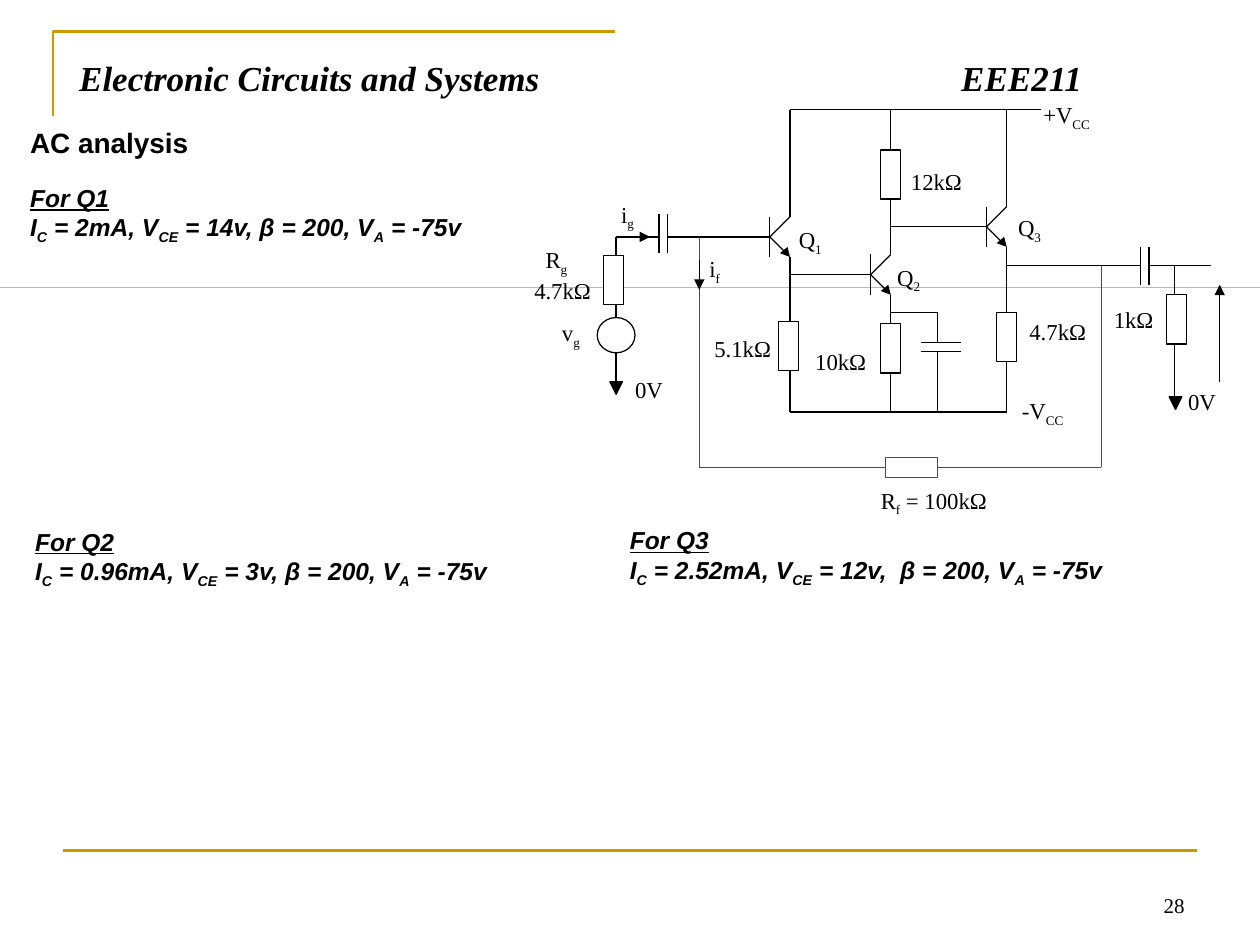
from lxml.etree import SubElement
from pptx import Presentation
from pptx.dml.color import RGBColor
from pptx.enum.shapes import MSO_CONNECTOR as Conn, MSO_SHAPE as Shape
from pptx.enum.text import MSO_ANCHOR as Anchor, PP_ALIGN as Align
from pptx.oxml.ns import qn
from pptx.util import Inches, Pt

COLORS = {"ink": "000000", "gold": "CC9900", "feedback": "FF0000",
          "paper": "FFFFFF", "rule": "0033CC"}
SERIF, SANS = "Times New Roman", "Arial"
W, H = 10, 7.5

TITLE = "Electronic Circuits and Systems\tEEE211"
BIASES = [
    ("For Q1", "I~C~ = 2mA, V~CE~ = 14v, β = 200, V~A~ = -75v", 0.14, 1.4),
    ("For Q2", "I~C~ = 0.96mA, V~CE~ = 3v, β = 200, V~A~ = -75v", 0.18, 4.13),
    ("For Q3", "I~C~ = 2.52mA, V~CE~ = 12v,  β = 200, V~A~ = -75v", 4.9, 4.12),
]
LABELS = [
    ("v~g~", 4.46, 2.53, 0.24), ("+V~CC~", 8.28, 0.8, 0.45),
    ("5.1kΩ", 5.67, 2.66, 0.47), ("12kΩ", 7.23, 1.33, 0.45),
    ("10kΩ", 6.47, 2.76, 0.45), ("4.7kΩ", 8.17, 2.52, 0.55),
    ("4.7kΩ", 4.24, 2.2, 0.48), ("0V", 5.04, 2.98, 0.28),
    ("1kΩ", 8.84, 2.43, 0.37), ("0V", 9.43, 3.08, 0.31),
    ("R~f~ = 100kΩ", 6.99, 3.86, 1.02), ("Q~1~", 6.34, 1.79, 0.32),
    ("Q~3~", 8.08, 1.7, 0.32), ("Q~2~", 7.12, 2.09, 0.32),
    ("R~g~", 4.33, 1.95, 0.24), ("i~f~", 5.63, 2.02, 0.24),
    ("i~g~", 4.93, 1.59, 0.24), ("-V~CC~", 8.11, 3.15, 0.45),
]

SRC, TAP, Q1, Q2, BYPASS, Q3, OUT, LOAD, VOUT = (
    4.89, 5.55, 6.27, 7.07, 7.44, 7.99, 8.74, 9.32, 9.68)
TOP, BASE3, BASE1, OUTPUT, BASE2, SPLIT, BOTTOM, LOOP = (
    0.87, 1.8, 1.88, 2.11, 2.18, 2.48, 3.27, 3.71)
CAP_IN, CAP_OUT, CAP_BYPASS = (5.23, 5.3), (9.05, 9.12), (2.72, 2.79)
GROUND = 0.1
STEP = 0.16

WIRES = [
    (SRC, BASE1, SRC, 2.52), (SRC, 2.8, SRC, 3.06),
    (SRC, BASE1, CAP_IN[0], BASE1), (CAP_IN[1], BASE1, Q1 - STEP, BASE1),
    (Q1, TOP, 8.26, TOP), (Q1, TOP, Q1, BASE1 - STEP),
    (Q2, TOP, Q2, BASE2 - STEP), (Q3, TOP, Q3, BASE3 - STEP),
    (Q1, BASE2, Q2 - STEP, BASE2), (Q2, BASE3, Q3 - STEP, BASE3),
    (Q1, BASE1 + STEP, Q1, BOTTOM), (Q2, BASE2 + STEP, Q2, BOTTOM),
    (Q3, BASE3 + STEP, Q3, BOTTOM), (Q1, BOTTOM, Q3, BOTTOM),
    (Q2, SPLIT, BYPASS, SPLIT), (BYPASS, SPLIT, BYPASS, CAP_BYPASS[0]),
    (BYPASS, CAP_BYPASS[1], BYPASS, BOTTOM),
    (Q3, OUTPUT, CAP_OUT[0], OUTPUT), (CAP_OUT[1], OUTPUT, 9.61, OUTPUT),
    (LOAD, OUTPUT, LOAD, 3.15),
]
PLATES = [(x, 1.7, x, 2.01) for x in CAP_IN]
PLATES += [(x, 1.96, x, 2.26) for x in CAP_OUT]
PLATES += [(7.31, y, 7.63, y) for y in CAP_BYPASS]
FEEDBACK = [(TAP, BASE1, TAP, LOOP), (OUT, OUTPUT, OUT, LOOP),
            (TAP, LOOP, OUT, LOOP)]
ARROWS = [(4.91, BASE1, 5.16, BASE1), (TAP, 2.06, TAP, 2.3),
          (VOUT, 3.03, VOUT, 2.26)]
TRANSISTORS = [(Q1, BASE1), (Q2, BASE2), (Q3, BASE3)]
RESISTORS = [(SRC - 0.02, 2.03), (Q1 - 0.01, 2.55), (Q2, 1.19),
             (Q2, 2.57), (Q3, 2.48), (LOAD + 0.02, 2.34)]
GROUNDS = [(SRC, 3.03), (LOAD + 0.01, 3.15)]

prs = Presentation()
prs.slide_width, prs.slide_height = Inches(W), Inches(H)
shapes = prs.slides.add_slide(prs.slide_layouts[6]).shapes


def rgb(name):
    return RGBColor.from_string(COLORS[name])


def style(sp, fill=None, line=None, width=0.7):
    sp.shadow.inherit = False
    if fill:
        sp.fill.solid()
        sp.fill.fore_color.rgb = rgb(fill)
    else:
        sp.fill.background()
    if line:
        sp.line.color.rgb = rgb(line)
        sp.line.width = Pt(width)
    else:
        sp.line.fill.background()
    return sp


def box(kind, x, y, w, h, **fmt):
    return style(shapes.add_shape(kind, *map(Inches, (x, y, w, h))), **fmt)


def outline(points, close=True, **fmt):
    pts = [(Inches(x), Inches(y)) for x, y in points]
    builder = shapes.build_freeform(*pts[0], scale=1.0)
    builder.add_line_segments(pts[1:], close=close)
    return style(builder.convert_to_shape(), **fmt)


def wire(x1, y1, x2, y2, color="ink", width=0.75, arrow=False):
    ln = shapes.add_connector(Conn.STRAIGHT, *map(Inches, (x1, y1, x2, y2)))
    ln.line.color.rgb = rgb(color)
    ln.line.width = Pt(width)
    if arrow:
        SubElement(ln.line._get_or_add_ln(), qn("a:tailEnd"), type="triangle")
    SubElement(ln._element.spPr, qn("a:effectLst"))


def text(lines, x, y, w, h, size=13, font=SERIF, bold=False, italic=False,
         inset=True, wrap=True, align=Align.LEFT, anchor=Anchor.TOP,
         head=False, tab=None):
    tf = shapes.add_textbox(*map(Inches, (x, y, w, h))).text_frame
    tf.word_wrap, tf.vertical_anchor = wrap, anchor
    if not inset:
        tf.margin_left = tf.margin_right = tf.margin_top = tf.margin_bottom = 0
    for i, line in enumerate(lines):
        p = tf.add_paragraph() if i else tf.paragraphs[0]
        p.alignment = align
        if tab:
            tabs = SubElement(p._p.get_or_add_pPr(), qn("a:tabLst"))
            SubElement(tabs, qn("a:tab"), pos=str(Inches(tab)), algn="l")
        for j, part in enumerate(line.split("~")):
            if not part:
                continue
            r = p.add_run()
            r.text = part
            f = r.font
            f.name, f.size, f.bold, f.italic = font, Pt(size), bold, italic
            f.color.rgb = rgb("ink")
            if head and i == 0:
                f.underline = True
            if j % 2:
                f._element.set("baseline", "-25000")


def transistor(x, y):
    base = x - STEP
    wire(base, y - STEP, base, y + STEP, width=0.7)
    wire(base, y, x, y - STEP, width=0.7)
    wire(base, y, x - 0.04, y + 0.12, width=0.7)
    outline([(x, y + STEP), (x - 0.08, y + 0.13), (x - 0.02, y + 0.08)],
            fill="ink")


outline([(0.42, 0.92), (0.42, 0.25), (4.88, 0.25)], close=False,
        line="gold", width=1.5)
wire(W * 0.05, H * 0.9, W * 0.95, H * 0.9, color="gold", width=1.5)
text([TITLE], 0.53, 0.4, 8.92, 0.61, size=20, bold=True, italic=True, tab=7)
box(Shape.RECTANGLE, 0, 2.28, W, 0, fill="rule")
text(["AC analysis"], 0.14, 0.95, 2.87, 0.37, size=16, font=SANS, bold=True)

for ends in WIRES + PLATES:
    wire(*ends)
for ends in FEEDBACK:
    wire(*ends, color="feedback")
for ends in ARROWS:
    wire(*ends, arrow=True)
for x, y in TRANSISTORS:
    transistor(x, y)

box(Shape.OVAL, SRC - 0.15, 2.52, 0.3, 0.28, fill="paper", line="ink")
for x, y in RESISTORS:
    box(Shape.RECTANGLE, x - 0.08, y, 0.16, 0.39, fill="paper", line="ink")
box(Shape.RECTANGLE, 7.03, LOOP - 0.08, 0.41, 0.16, fill="paper", line="feedback")
for x, y in GROUNDS:
    outline([(x - GROUND / 2, y), (x + GROUND / 2, y), (x, y + GROUND)],
            fill="ink", line="ink")

for label, x, y, w in LABELS:
    text([label], x, y, w, 0.22, inset=False, wrap=False)
for name, values, x, y in BIASES:
    text([name, values], x, y, 4.72, 0.57, size=14, font=SANS, bold=True,
         italic=True, head=True)
text(["28"], 7.17, 6.83, 2.33, 0.5, size=12, align=Align.RIGHT,
     anchor=Anchor.BOTTOM)

prs.save("out.pptx")
